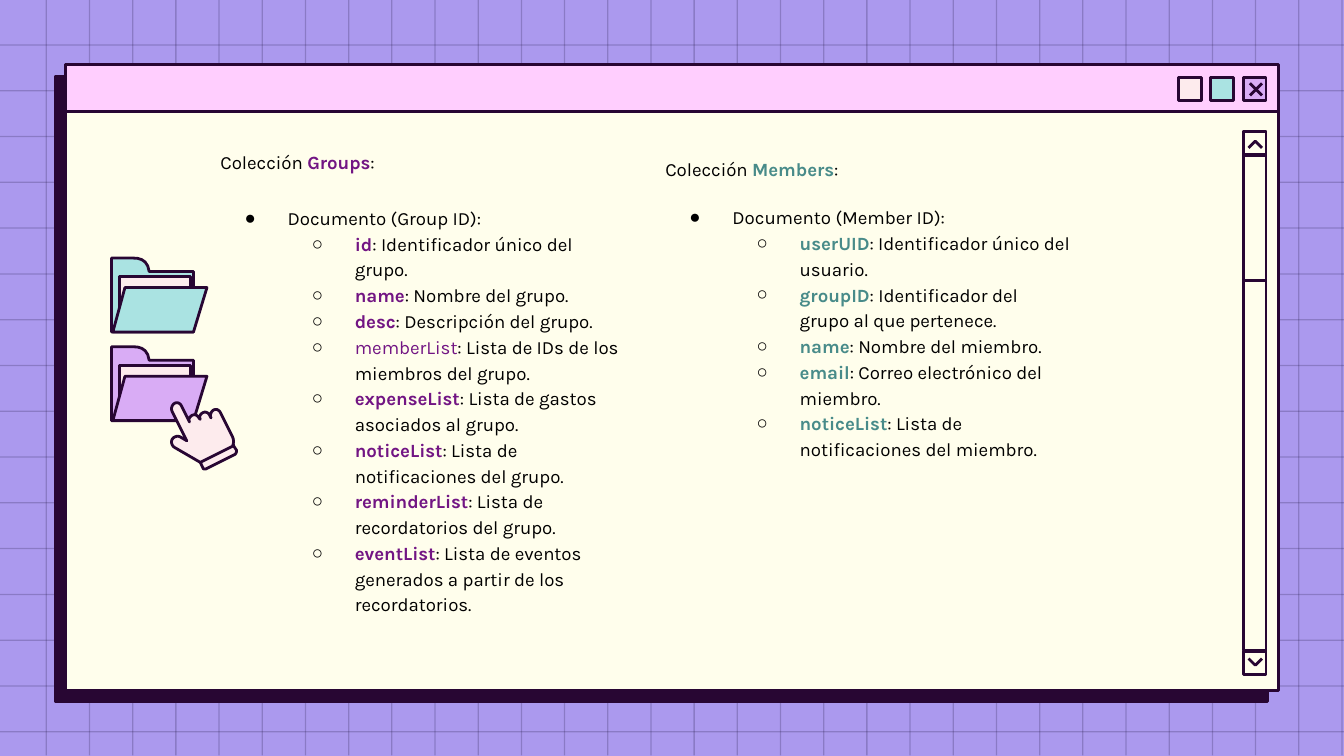
"""Build a retro window slide that lists the fields of two database collections."""
import pptx
import pptx.dml.color
import pptx.enum.shapes
import pptx.enum.text
import pptx.oxml.ns
import pptx.util
from lxml import etree

Inches = pptx.util.Inches
Pt = pptx.util.Pt
RGB = pptx.dml.color.RGBColor
qn = pptx.oxml.ns.qn
RECT = pptx.enum.shapes.MSO_SHAPE.RECTANGLE

INK = RGB(0x28, 0x06, 0x33)
GRID = RGB(0x1F, 0x15, 0x41)
BACK = RGB(0xAB, 0x99, 0xEE)
CREAM = RGB(0xFF, 0xFE, 0xEC)
PINK = RGB(0xFF, 0xCE, 0xFE)
LILAC = RGB(0xD9, 0xAC, 0xF5)
MINT = RGB(0xAA, 0xE3, 0xE2)
BLUSH = RGB(0xFD, 0xEB, 0xED)
PLUM = RGB(0x72, 0x15, 0x83)
TEAL = RGB(0x48, 0x8B, 0x89)
BLACK = RGB(0, 0, 0)

deck = pptx.Presentation()
deck.slide_width = Inches(10)
deck.slide_height = deck.slide_width * 9 // 16
slide = deck.slides.add_slide(deck.slide_layouts[3])
slide.background.fill.solid()
slide.background.fill.fore_color.rgb = BACK
shapes = slide.shapes
shapes.title.element.getparent().remove(shapes.title.element)
bodies = list(slide.placeholders)


def paint(shape, fill, line=INK):
    shape.shadow.inherit = False
    if fill is None:
        shape.fill.background()
    else:
        shape.fill.solid()
        shape.fill.fore_color.rgb = fill
    if line is None:
        shape.line.fill.background()
    else:
        shape.line.color.rgb = line
        shape.line.width = Pt(1.5)
    return shape


def trace(steps, fill, drop=0, close=True):
    dots = [steps[0]]
    for step in steps[1:]:
        if len(step) == 2:
            dots.append(step)
            continue
        knots = [dots[-1], step[:2], step[2:4], step[4:]]
        for t in (0.2, 0.4, 0.6, 0.8, 1):
            parts = ((1 - t) ** 3, 3 * t * (1 - t) ** 2, 3 * t * t * (1 - t), t ** 3)
            dots.append(tuple(sum(w * k[i] for w, k in zip(parts, knots)) for i in (0, 1)))
    dots = [(Inches(x), Inches(y + drop)) for x, y in dots]
    pen = shapes.build_freeform(*dots[0], scale=1.0)
    pen.add_line_segments(dots[1:], close=close)
    return paint(pen.convert_to_shape(), fill)


bars = [(0.34 + 9.64 * i / 30, 0, 0.01, 5.62) for i in range(31)]
bars += [(0, 0.33 + 5.11 * i / 15, 10, 0.01) for i in range(16)]
for bar in bars:
    rule = paint(shapes.add_shape(RECT, *map(Inches, bar)), GRID, None)
    tint = rule.element.spPr.find(".//" + qn("a:srgbClr"))
    etree.SubElement(tint, qn("a:alpha"), val="23000")

pane = paint(shapes.add_shape(RECT, *map(Inches, (0.49, 0.49, 9.02, 4.65))), CREAM)
glow = etree.SubElement(pane.element.spPr.find(qn("a:effectLst")), qn("a:outerShdw"),
                        dist=str(Pt(8.2)), dir="8160000", algn="bl", rotWithShape="0")
etree.SubElement(glow, qn("a:srgbClr"), val=str(INK))

for left, top, width, height, fill in (
    (0.49, 0.48, 9.02, 0.35, PINK),
    (9.25, 0.58, 0.17, 0.17, LILAC),
    (9.01, 0.58, 0.17, 0.17, MINT),
    (8.77, 0.58, 0.17, 0.17, BLUSH),
    (9.25, 0.98, 0.17, 3.86, None),
    (9.25, 0.98, 0.17, 0.17, None),
    (9.25, 4.85, 0.17, 0.17, None),
    (9.25, 1.16, 0.17, 0.93, None),
):
    paint(shapes.add_shape(RECT, *map(Inches, (left, top, width, height))), fill)

for start, end in ((9.3, 9.39), (9.39, 9.3)):
    cross = shapes.add_connector(pptx.enum.shapes.MSO_CONNECTOR.STRAIGHT,
                                 Inches(start), Inches(0.62), Inches(end), Inches(0.71))
    cross.line.color.rgb = INK
    cross.line.width = Pt(1.5)
    etree.SubElement(cross.element.spPr, qn("a:effectLst"))

for base, tip in ((1.1, 1.05), (4.9, 4.95)):
    trace([(9.39, base), (9.34, tip), (9.29, base)], None, close=False)

groups = [
    ("id", "Identificador único del grupo."),
    ("name", "Nombre del grupo."),
    ("desc", "Descripción del grupo."),
    ("memberList", "Lista de IDs de los miembros del grupo."),
    ("expenseList", "Lista de gastos asociados al grupo."),
    ("noticeList", "Lista de notificaciones del grupo."),
    ("reminderList", "Lista de recordatorios del grupo."),
    ("eventList", "Lista de eventos generados a partir de los recordatorios."),
]
members = [
    ("userUID", "Identificador único del usuario."),
    ("groupID", "Identificador del grupo al que pertenece."),
    ("name", "Nombre del miembro."),
    ("email", "Correo electrónico del miembro."),
    ("noticeList", "Lista de notificaciones del miembro."),
]
lists = (
    ("Groups", "Group ID", groups, PLUM, (1.54, 1, 3.22, 3.69), 16),
    ("Members", "Member ID", members, TEAL, (4.85, 1.05, 3.22, 2.47), 12),
)
for body, (name, label, fields, hue, place, gap) in zip(bodies, lists):
    body.left, body.top, body.width, body.height = map(Inches, place)
    shapes.element.append(body.element)
    frame = body.text_frame
    frame.word_wrap = True
    frame.auto_size = pptx.enum.text.MSO_AUTO_SIZE.NONE
    frame.vertical_anchor = pptx.enum.text.MSO_ANCHOR.TOP
    frame.margin_left = frame.margin_right = Inches(0.1)
    frame.margin_top = frame.margin_bottom = Inches(0.1)
    rows = [(None, 0, "Colección ", name, ":"),
            ("●", 0, f"Documento ({label}):", "", "")]
    rows += [("○", 1, "", key, ": " + text) for key, text in fields]
    for n, (mark, level, lead, key, tail) in enumerate(rows):
        para = frame.add_paragraph() if n else frame.paragraphs[0]
        para.level = level
        para.line_spacing = 1.15
        para.space_before = Pt(gap if n == 1 else 0)
        props = para._p.get_or_add_pPr()
        props.set("marL", str(Inches(0.5 * (level + 1) if mark else 0)))
        props.set("indent", str(Inches(-0.32 if mark else 0)))
        if mark:
            shade = etree.SubElement(props, qn("a:buClr"))
            etree.SubElement(shade, qn("a:srgbClr"), val=str(BLACK))
            etree.SubElement(props, qn("a:buSzPts"), val="1000")
            etree.SubElement(props, qn("a:buChar"), char=mark)
        else:
            etree.SubElement(props, qn("a:buNone"))
        para.font.name = "Karla"
        para.font.size = Pt(10)
        for text in filter(None, (lead, key, tail)):
            run = para.add_run()
            run.text = text
            run.font.color.rgb = hue if text == key else BLACK
            run.font.bold = text == key and key != "memberList"

for drop, fill in ((0.66, LILAC), (0, MINT)):
    trace([(1.44, 2.47), (1.44, 2.02), (1.11, 2.02), (1.1, 1.94, 1.05, 1.92, 0.99, 1.92),
           (0.83, 1.92), (0.83, 2.47)], fill, drop)
    trace([(0.89, 2.06), (1.42, 2.06), (1.42, 2.4), (0.89, 2.4)], BLUSH, drop)
    trace([(1.44, 2.47), (0.84, 2.47), (0.93, 2.14), (1.54, 2.14)], fill, drop)

cuff = [(1.72, 3.31), (1.5, 3.42), (1.49, 3.42, 1.49, 3.43, 1.49, 3.44), (1.51, 3.48),
        (1.51, 3.49, 1.52, 3.49, 1.53, 3.49), (1.75, 3.38),
        (1.76, 3.37, 1.76, 3.36, 1.76, 3.35), (1.74, 3.32),
        (1.74, 3.31, 1.73, 3.3, 1.72, 3.31)]
hand = [(1.59, 3.05), (1.57, 3.06, 1.56, 3.09, 1.57, 3.11), (1.56, 3.09),
        (1.55, 3.07, 1.53, 3.06, 1.51, 3.07), (1.49, 3.08, 1.48, 3.1, 1.49, 3.12),
        (1.48, 3.11), (1.47, 3.09, 1.45, 3.08, 1.43, 3.09),
        (1.41, 3.1, 1.4, 3.12, 1.41, 3.14), (1.35, 3.02),
        (1.34, 3, 1.32, 2.99, 1.3, 3), (1.28, 3.01, 1.27, 3.04, 1.28, 3.06),
        (1.39, 3.28), (1.34, 3.25), (1.32, 3.24, 1.29, 3.25, 1.28, 3.27),
        (1.27, 3.29, 1.28, 3.32, 1.3, 3.33), (1.49, 3.44), (1.73, 3.32),
        (1.74, 3.3, 1.74, 3.27, 1.73, 3.25), (1.64, 3.07),
        (1.63, 3.05, 1.61, 3.04, 1.59, 3.05)]
for part in (cuff, hand):
    trace(part, BLUSH)

deck.save("out.pptx")
